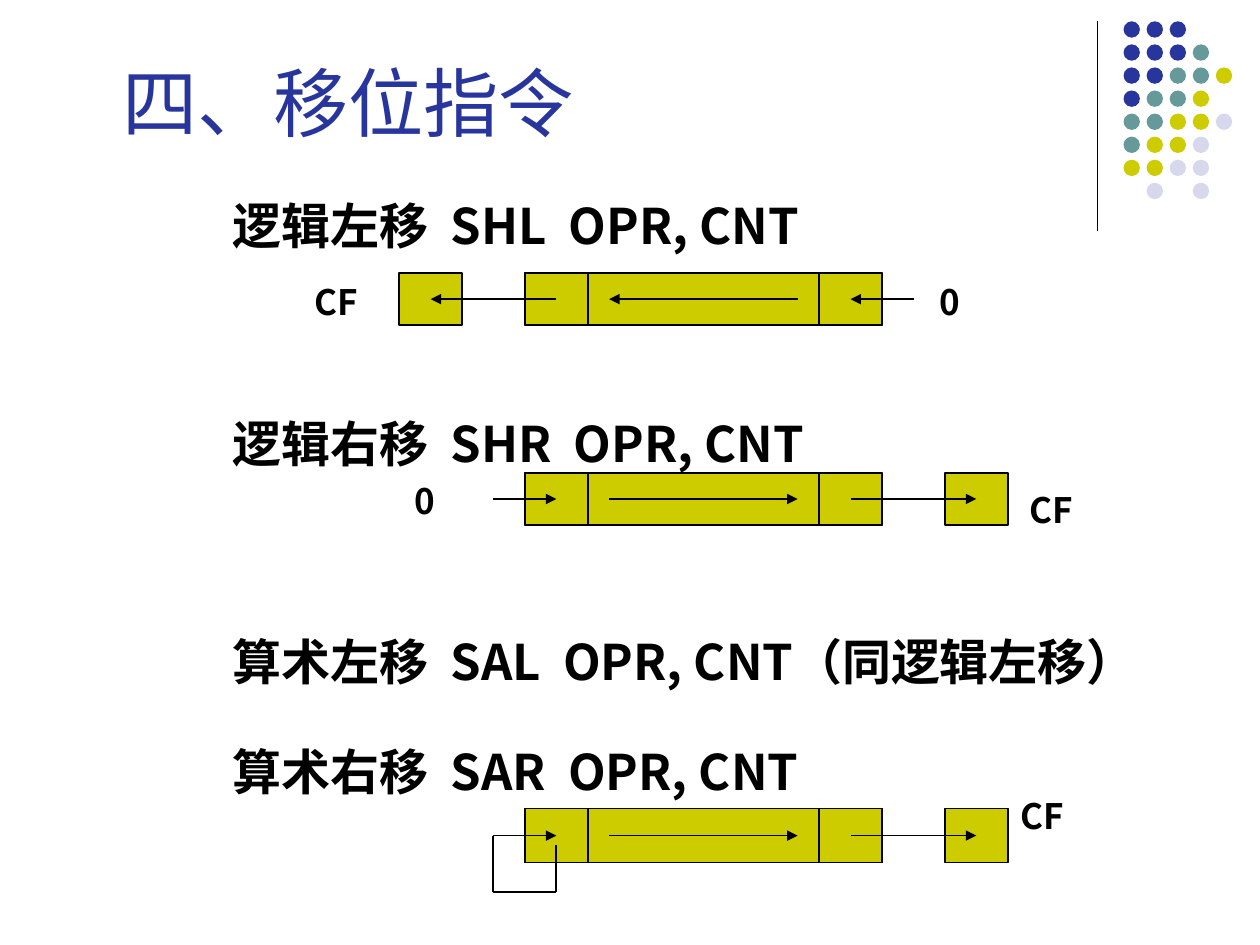
from dataclasses import dataclass
from typing import NamedTuple

from lxml.etree import SubElement
from pptx import Presentation
from pptx.dml.color import RGBColor as RGB
from pptx.enum.shapes import MSO_CONNECTOR as Conn, MSO_SHAPE as Shp
from pptx.enum.text import MSO_ANCHOR as Anchor, MSO_AUTO_SIZE as Auto, PP_ALIGN as Align
from pptx.oxml.ns import qn
from pptx.util import Cm, Pt


@dataclass(frozen=True)
class Theme:
    font: str = "Noto Sans CJK SC"
    ink: RGB = RGB(0x00, 0x00, 0x00)
    navy: RGB = RGB(0x27, 0x35, 0x9D)
    teal: RGB = RGB(0x66, 0x99, 0x99)
    olive: RGB = RGB(0xCC, 0xCC, 0x00)
    pale: RGB = RGB(0xD8, 0xD8, 0xEC)
    title: float = 43
    body: float = 28
    label: float = 20


class Register(NamedTuple):
    top: float
    height: float
    direction: int  # -1 shifts left, 1 shifts right


class Label(NamedTuple):
    text: str
    x: float
    y: float
    width: float


class Line(NamedTuple):
    text: str
    before: float


T = Theme()
CENTRE, WIDTH, CELL = 14.18, 7.2, 1.27   # register geometry, cm
END = (WIDTH - CELL) / 2                 # centre of an end cell
FLAG = 5.5                               # centre of the carry flag
MID = 1.9                                # half the middle arrow
FEED = END + CELL                        # start of the incoming arrow

LINES = [
    Line("逻辑左移  SHL  OPR, CNT", 0),
    Line("逻辑右移  SHR  OPR, CNT", 91),
    Line("算术左移  SAL  OPR, CNT（同逻辑左移）", 91),
    Line("算术右移  SAR  OPR, CNT", 28.8),
]
REGISTERS = [
    Register(5.5, 1.06, -1),
    Register(9.53, 1.06, 1),
    Register(16.3, 1.09, 1),
]
LABELS = [
    Label("CF", 6.1, 5.52, 2.2),
    Label("0", 18.7, 5.52, 1.6),
    Label("0", 8.1, 9.52, 1.6),
    Label("CF", 20.5, 9.72, 2.2),
    Label("CF", 20.32, 15.87, 1.9),
]
DOTS = ["nnn", "nnnt", "nntto", "ntto", "ttoop", "toop", "oopp", " p p"]
DOT_COLOURS = {"n": T.navy, "t": T.teal, "o": T.olive, "p": T.pale}


def place(sp, x: float, y: float, w: float, h: float) -> None:
    sp.left, sp.top, sp.width, sp.height = Cm(x), Cm(y), Cm(w), Cm(h)


def add_run(p, text: str, size: float, colour: RGB, bold: bool) -> None:
    r = p.add_run()
    r.text = text
    f = r.font
    f.name, f.size, f.bold = T.font, Pt(size), bold
    f.color.rgb = colour
    SubElement(f._element, qn("a:ea")).set("typeface", T.font)


def add_box(s, kind, x: float, y: float, w: float, h: float, fill: RGB, outlined: bool = True) -> None:
    sp = s.shapes.add_shape(kind, Cm(x), Cm(y), Cm(w), Cm(h))
    sp.shadow.inherit = False
    sp.fill.solid()
    sp.fill.fore_color.rgb = fill
    if outlined:
        sp.line.color.rgb = T.ink
        sp.line.width = Pt(1)
    else:
        sp.line.fill.background()


def add_line(s, x1: float, y1: float, x2: float, y2: float, arrow: bool = False, width: float = 1) -> None:
    c = s.shapes.add_connector(Conn.STRAIGHT, Cm(x1), Cm(y1), Cm(x2), Cm(y2))
    c.line.color.rgb = T.ink
    c.line.width = Pt(width)
    if arrow:
        SubElement(c.line._get_or_add_ln(), qn("a:tailEnd")).set("type", "triangle")
    SubElement(c._element.spPr, qn("a:effectLst"))


def add_register(s, reg: Register) -> None:
    top, h, d = reg
    add_box(s, Shp.RECTANGLE, CENTRE - WIDTH / 2, top, WIDTH, h, T.olive)
    for offset in (-END, END, d * FLAG):
        add_box(s, Shp.RECTANGLE, CENTRE + offset - CELL / 2, top, CELL, h, T.olive)
    y = top + h / 2
    for start, stop in ((-FEED, -END), (-MID, MID), (END, FLAG)):
        add_line(s, CENTRE + d * start, y, CENTRE + d * stop, y, arrow=True)


def add_label(s, label: Label) -> None:
    tf = s.shapes.add_textbox(Cm(label.x), Cm(label.y), Cm(label.width), Cm(1.12)).text_frame
    tf.word_wrap = True
    tf.vertical_anchor = Anchor.MIDDLE
    add_run(tf.paragraphs[0], label.text, T.label, T.ink, True)


def add_title(s, text: str) -> None:
    sp = s.shapes.title
    place(sp, 2.22, 0.48, 19.08, 2.6)
    tf = sp.text_frame
    tf.vertical_anchor = Anchor.BOTTOM
    p = tf.paragraphs[0]
    p.alignment = Align.LEFT
    add_run(p, text, T.title, T.navy, False)


def add_body(s, lines: list[Line]) -> None:
    sp = s.placeholders[1]
    place(sp, 4.44, 3.82, 19.88, 12.45)
    tf = sp.text_frame
    tf.auto_size = Auto.NONE
    for i, line in enumerate(lines):
        p = tf.add_paragraph() if i else tf.paragraphs[0]
        p.alignment = Align.JUSTIFY
        p.space_before = Pt(line.before)
        pPr = p._p.get_or_add_pPr()
        pPr.set("marL", "0")
        pPr.set("indent", "0")
        SubElement(pPr, qn("a:buNone"))
        add_run(p, line.text, T.body, T.ink, True)


def main() -> None:
    prs = Presentation()
    prs.slide_width, prs.slide_height = Cm(25.4), Cm(19.05)
    s = prs.slides.add_slide(prs.slide_layouts[1])

    # Corner ornament
    add_line(s, 22.12, 0.43, 22.12, 4.65, width=0.75)
    for row, codes in enumerate(DOTS):
        for col, code in enumerate(codes):
            if code in DOT_COLOURS:
                add_box(s, Shp.OVAL, 22.65 + 0.465 * col, 0.43 + 0.465 * row,
                        0.33, 0.33, DOT_COLOURS[code], outlined=False)

    # Title and instruction list
    add_title(s, "四、移位指令")
    add_body(s, LINES)

    # Shift diagrams
    for reg in REGISTERS:
        add_register(s, reg)
    for label in LABELS:
        add_label(s, label)

    # Sign bit fed back into the last register
    last = REGISTERS[-1]
    left, right, bottom = CENTRE - FEED, CENTRE - END, 17.98
    add_line(s, left, bottom, left, last.top + last.height / 2)
    add_line(s, left, bottom, right, bottom)
    add_line(s, right, bottom, right, 17.04)

    prs.save("out.pptx")


if __name__ == "__main__":
    main()
